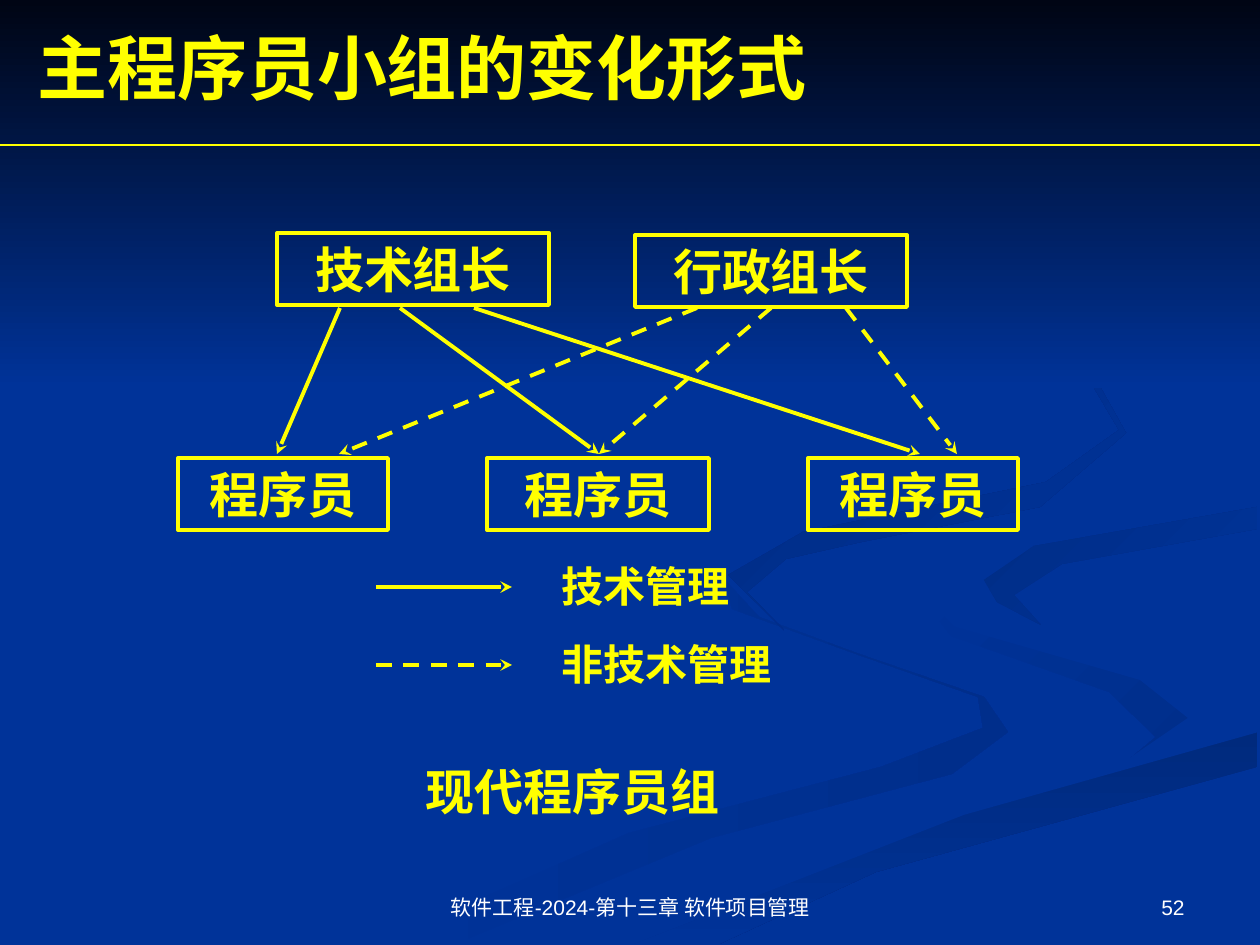
from lxml import etree
from pptx import Presentation
from pptx import util as u
from pptx.dml.color import RGBColor
from pptx.enum import dml, shapes, text
from pptx.oxml import ns

PX = 914400 / 126
YELLOW, WHITE, BLUE = "FFFF00", "FFFFFF", "003399"
SERIF = "Times New Roman"
LEFT, CENTER, RIGHT = text.PP_ALIGN.LEFT, text.PP_ALIGN.CENTER, text.PP_ALIGN.RIGHT
TOP, MIDDLE, BOTTOM = text.MSO_ANCHOR.TOP, text.MSO_ANCHOR.MIDDLE, text.MSO_ANCHOR.BOTTOM

# Background ribbons: start colour, end colour, clockwise angle, outline in px
RIBBONS = [
    (BLUE, "002E8B", 0, [
        (984, 697), (859, 654), (759, 617), (725, 580), (732, 609), (856, 654),
        (978, 697), (983, 728), (881, 767), (629, 833), (378, 944), (455, 944),
        (711, 838), (952, 774), (1008, 732)]),
    (BLUE, "002E8B", 45, [
        (1188, 718), (1140, 680), (955, 627), (912, 585), (951, 636), (1109, 692),
        (1156, 737), (1126, 762), (1174, 742)]),
    ("002A7D", BLUE, 90, [
        (634, 944), (719, 944), (876, 872), (1257, 767), (1257, 732), (963, 815)]),
    (BLUE, BLUE, 0, [
        (914, 585), (956, 627), (1140, 680), (1188, 718), (1124, 762), (835, 842),
        (601, 944), (634, 944), (964, 815), (1259, 732), (1259, 678), (1048, 627),
        (984, 583), (1071, 538), (1259, 507), (1259, 488), (993, 532)]),
    ("002D86", BLUE, 45, [
        (984, 580), (997, 602), (1041, 625), (1014, 595), (1062, 564), (1257, 529),
        (1257, 507), (1034, 546)]),
    ("002B82", BLUE, 45, [
        (861, 542), (1040, 507), (1126, 433), (1089, 367), (960, 294), (1077, 359),
        (1119, 430), (1046, 482), (803, 532), (728, 575), (784, 630), (747, 592),
        (786, 559)]),
    # Dark band fading down from the top edge
    ("000514", BLUE, 90, [(0, 0), (0, 388), (1260, 388), (1260, 0)]),
]


def px(*lengths):
    return [u.Emu(round(length * PX)) for length in lengths]


def color(value):
    return RGBColor.from_string(value)


def add_ribbon(slide, start, end, angle, points):
    builder = slide.shapes.build_freeform(*points[0], scale=PX)
    builder.add_line_segments(points[1:], close=True)
    shape = builder.convert_to_shape()
    shape.shadow.inherit = False
    shape.line.fill.background()
    if start == end:
        shape.fill.solid()
        shape.fill.fore_color.rgb = color(start)
        return
    shape.fill.gradient()
    shape.fill.gradient_angle = (360 - angle) % 360
    for stop, value in zip(shape.fill.gradient_stops, (start, end)):
        stop.color.rgb = color(value)


def write(shape, words, size, font=SERIF, value=YELLOW, bold=True, align=LEFT, anchor=TOP):
    frame = shape.text_frame
    frame.word_wrap = True
    frame.vertical_anchor = anchor
    paragraph = frame.paragraphs[0]
    paragraph.alignment = align
    run = paragraph.add_run()
    run.text = words
    run.font.size = u.Pt(size)
    run.font.name = font
    run.font.bold = bold
    run.font.color.rgb = color(value)


def add_label(slide, box, words, size, **style):
    write(slide.shapes.add_textbox(*px(*box)), words, size, **style)


def add_role(slide, box, words):
    shape = slide.shapes.add_shape(shapes.MSO_SHAPE.RECTANGLE, *px(*box))
    shape.shadow.inherit = False
    shape.fill.background()
    shape.line.color.rgb = color(YELLOW)
    shape.line.width = u.Pt(2.25)
    write(shape, words, 28, align=CENTER, anchor=MIDDLE)


def add_line(slide, ends, width=2.25, dashed=False, arrow=True):
    connector = slide.shapes.add_connector(shapes.MSO_CONNECTOR.STRAIGHT, *px(*ends))
    connector.line.color.rgb = color(YELLOW)
    connector.line.width = u.Pt(width)
    if dashed:
        connector.line.dash_style = dml.MSO_LINE.DASH
    if arrow:
        etree.SubElement(connector.line._get_or_add_ln(), ns.qn("a:tailEnd"), type="stealth")
    etree.SubElement(connector._element.spPr, ns.qn("a:effectLst"))


def main():
    presentation = Presentation()
    presentation.slide_width, presentation.slide_height = px(1260, 945)
    slide = presentation.slides.add_slide(presentation.slide_layouts[6])

    # Background
    slide.background.fill.solid()
    slide.background.fill.fore_color.rgb = color(BLUE)
    for ribbon in RIBBONS:
        add_ribbon(slide, *ribbon)

    # Title and rule
    add_label(slide, (25, 18, 1134, 97), "主程序员小组的变化形式", 40, anchor=MIDDLE)
    add_line(slide, (0, 145, 1260, 145), width=0.75, arrow=False)

    # Leaders and programmers
    add_role(slide, (277, 233, 272, 72), "技术组长")
    add_role(slide, (635, 235, 272, 72), "行政组长")
    for left, width in ((178, 210), (487, 222), (808, 210)):
        add_role(slide, (left, 458, width, 72), "程序员")

    # Management arrows: solid from the technical leader, dashed from the other
    for start, end in ((340, 277), (400, 599), (474, 920)):
        add_line(slide, (start, 308, end, 454))
    for start, end in ((697, 339), (771, 599), (846, 957)):
        add_line(slide, (start, 308, end, 454), dashed=True)

    # Legend
    for y, words, dashed in ((587, "技术管理", False), (665, "非技术管理", True)):
        add_line(slide, (376, y, 512, y), dashed=dashed)
        add_label(slide, (549, y - 33, 284, 63), words, 24)

    # Caption and footer
    add_label(slide, (413, 755, 420, 72), "现代程序员组", 28, font="Arial Narrow")
    footer = dict(font="Arial", value=WHITE, bold=False, anchor=BOTTOM)
    add_label(slide, (431, 861, 399, 65), "软件工程-2024-第十三章 软件项目管理", 12, align=CENTER, **footer)
    add_label(slide, (903, 861, 294, 65), "52", 12, align=RIGHT, **footer)

    presentation.save("out.pptx")


if __name__ == "__main__":
    main()
